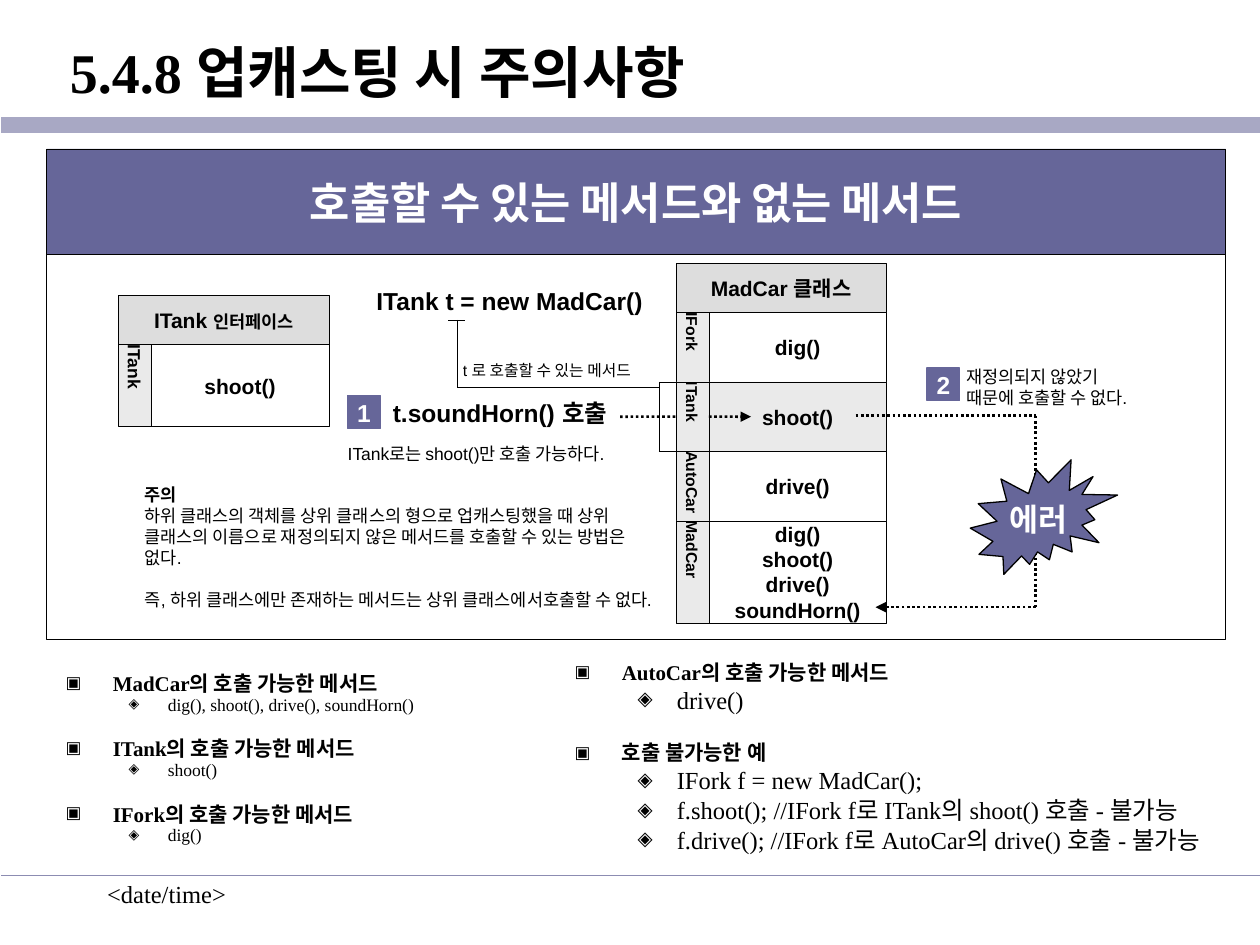
from itertools import pairwise

from lxml.etree import SubElement
from pptx import Presentation
from pptx.dml.color import RGBColor
from pptx.enum.dml import MSO_LINE
from pptx.enum.shapes import MSO_CONNECTOR, MSO_SHAPE
from pptx.enum.text import MSO_ANCHOR as Anchor, MSO_AUTO_SIZE, PP_ALIGN as Align
from pptx.oxml.ns import qn
from pptx.util import Cm, Pt

BLACK = RGBColor(0x00, 0x00, 0x00)
WHITE = RGBColor(0xFF, 0xFF, 0xFF)
PURPLE = RGBColor(0x66, 0x66, 0x99)
TITLE_RULE = RGBColor(0xA8, 0xA8, 0xC4)
FOOTER_RULE = RGBColor(0x8C, 0x8C, 0xB2)
HEADER_GRAY = RGBColor(0xDD, 0xDD, 0xDD)
LIGHT_GRAY = RGBColor(0xEA, 0xEA, 0xEA)
SERIF, SANS, KOREAN = "Times New Roman", "Arial", "Noto Sans CJK KR"


def set_font(font, size, bold=False, color=BLACK, name=SANS):
    font.size, font.bold, font.name = Pt(size), bold, name
    font.color.rgb = color


def write(shape, lines, size, bold=False, color=BLACK, name=SANS,
          align=Align.LEFT, anchor=Anchor.MIDDLE, wrap=True):
    frame = shape.text_frame
    frame.word_wrap = wrap
    frame.auto_size = MSO_AUTO_SIZE.NONE
    frame.vertical_anchor = anchor
    frame.text = "\n".join(lines)
    for paragraph in frame.paragraphs:
        paragraph.alignment = align
        set_font(paragraph.font, size, bold, color, name)
    return frame


def place(shape, left, top, width, height):
    shape.left, shape.top, shape.width, shape.height = map(Cm, (left, top, width, height))


def add_label(slide, left, top, width, height, lines, size, **style):
    box = slide.shapes.add_textbox(Cm(left), Cm(top), Cm(width), Cm(height))
    return write(box, lines, size, **style)


def add_block(slide, left, top, width, height, fill=None, line=BLACK, weight=0.25,
              kind=MSO_SHAPE.RECTANGLE):
    shape = slide.shapes.add_shape(kind, Cm(left), Cm(top), Cm(width), Cm(height))
    shape.shadow.inherit = False
    if fill is None:
        shape.fill.background()
    else:
        shape.fill.solid()
        shape.fill.fore_color.rgb = fill
    shape.line.color.rgb = line
    shape.line.width = Pt(weight)
    return shape


def add_path(slide, points, color=BLACK, weight=0.25, dotted=False, arrow=False):
    for start, end in pairwise(points):
        connector = slide.shapes.add_connector(
            MSO_CONNECTOR.STRAIGHT, *map(Cm, (*start, *end)))
        connector.line.color.rgb = color
        connector.line.width = Pt(weight)
        if dotted:
            connector.line.dash_style = MSO_LINE.ROUND_DOT
        SubElement(connector._element.spPr, qn("a:effectLst"))
    if arrow:
        SubElement(connector.line._get_or_add_ln(), qn("a:tailEnd"), type="triangle")
    return connector


def add_number(slide, left, top, number):
    square = add_block(slide, left, top, 0.66, 0.66, PURPLE, PURPLE, 0.75)
    write(square, [number], 14, bold=True, color=WHITE, align=Align.CENTER, wrap=False)


def add_class_box(slide, left, top, name, kind, kind_size, tag_size, rows):
    width, header_height, tag_width = 4.24, 0.99, 0.66
    header = add_block(slide, left, top, width, header_height, HEADER_GRAY)
    paragraph = write(header, [name + " "], 12, bold=True, align=Align.CENTER).paragraphs[0]
    run = paragraph.add_run()
    run.text = kind
    run.font.size = Pt(kind_size)
    top += header_height
    tags = {}
    for owner, methods, height, fill in rows:
        cell = add_block(slide, left + tag_width, top, width - tag_width, height, fill)
        write(cell, methods, 12, bold=True, align=Align.CENTER)
        tag = add_block(slide, left, top, tag_width, height, LIGHT_GRAY)
        frame = write(tag, [owner], tag_size, bold=True, align=Align.CENTER)
        frame.margin_left = frame.margin_right = Cm(0.13)
        frame.margin_top = frame.margin_bottom = 0
        tag._element.txBody.bodyPr.set("vert", "eaVert")
        tags[owner] = tag
        top += height
    return tags


def add_call(slide, left, top, tag):
    add_label(slide, left + 0.58, top, 6.88, 0.86, ["ITank t = new MadCar()"], 14,
              bold=True, anchor=Anchor.TOP)
    caption = add_label(slide, left + 2.23, top + 1.5, 4.95, 0.64,
                        ["t 로 호출할 수 있는 메서드"], 9, anchor=Anchor.TOP)
    caption.margin_left = Cm(0.34)
    stem, bracket = left + 2.46, left + 6.52
    add_path(slide, [(stem - 0.18, top + 0.81), (stem + 0.15, top + 0.81)])
    add_path(slide, [(stem, top + 0.81), (stem, top + 2.16), (bracket, top + 2.16)])
    add_path(slide, [(left + 6.87, top + 2.06), (bracket, top + 2.06),
                     (bracket, top + 3.46), (left + 6.87, top + 3.46)])
    add_number(slide, left + 0.25, top + 2.34, "1")
    add_label(slide, left + 0.91, top + 2.26, 4.95, 0.86, ["t.soundHorn() 호출"], 14,
              bold=True, anchor=Anchor.TOP, wrap=False)
    add_label(slide, left, top + 3.17, 5.28, 0.66, ["ITank로는 shoot()만 호출 가능하다."],
              10, wrap=False)
    middle = top + 2.76
    to_tag = add_path(slide, [(left + 5.74, middle), (left + 6.87, middle)],
                      weight=1.5, dotted=True)
    to_tag.end_connect(tag, 1)
    to_cell = add_path(slide, [(left + 7.53, middle), (left + 8.38, middle)],
                       weight=1.5, dotted=True, arrow=True)
    to_cell.begin_connect(tag, 3)


def add_error(slide, left, top):
    corner = left + 3.63
    add_path(slide, [(left, top + 1.24), (corner, top + 1.24), (corner, top + 5.1),
                     (left + 0.4, top + 5.1)], weight=1.5, dotted=True, arrow=True)
    add_number(slide, left + 1.44, top + 0.28, "2")
    add_label(slide, left + 1.98, top, 4.34, 1.32,
              ["재정의되지 않았기", "때문에 호출할 수 없다."], 10, wrap=False)
    seal = add_block(slide, left + 2.31, top + 2.13, 2.97, 2.31, PURPLE, weight=0.75,
                     kind=MSO_SHAPE.EXPLOSION2)
    write(seal, ["에러"], 18, bold=True, color=WHITE, name=KOREAN, align=Align.CENTER,
          wrap=False)


def add_caution(slide, left, top):
    heading, _, conclusion = add_label(slide, left, top, 10.62, 2.49, [
        "주의",
        "하위 클래스의 객체를 상위 클래스의 형으로 업캐스팅했을 때 상위 클래스의 이름으로 "
        "재정의되지 않은 메서드를 호출할 수 있는 방법은 없다.",
        "즉, 하위 클래스에만 존재하는 메서드는 상위 클래스에서호출할 수 없다.",
    ], 10).paragraphs
    heading.font.bold = True
    conclusion.space_before = Pt(11.7)


def add_diagram(slide, left, top, width, height):
    banner_height = 2.13
    add_block(slide, left, top, width, height)
    banner = add_block(slide, left, top, width, banner_height, PURPLE)
    write(banner, ["호출할 수 있는 메서드와 없는 메서드"], 25, bold=True, color=WHITE,
          align=Align.CENTER)
    add_class_box(slide, left + 1.45, top + 2.96, "ITank", "인터페이스", 10, 10,
                  [("ITank", ["shoot()"], 1.65, WHITE)])
    tags = add_class_box(slide, left + 12.69, top + 2.31, "MadCar", "클래스", 12, 9, [
        ("IFork", ["dig()"], 1.4, WHITE),
        ("ITank", ["shoot()"], 1.4, LIGHT_GRAY),
        ("AutoCar", ["drive()"], 1.4, WHITE),
        ("MadCar", ["dig()", "shoot()", "drive()", "soundHorn()"], 2.06, WHITE),
    ])
    add_call(slide, left + 5.82, top + 2.64, tags["ITank"])
    add_error(slide, left + 16.31, top + 4.14)
    add_caution(slide, left + 1.73, top + 6.78)


def fill_list(placeholder, box, sections, item_size, spacing, section_gap):
    place(placeholder, *box)
    entries = [(text, level) for heading, items in sections
               for text, level in [(heading, 0), *((item, 1) for item in items)]]
    frame = write(placeholder, [text for text, _ in entries], 12, name=SERIF,
                  anchor=Anchor.TOP)
    for index, (paragraph, (_, level)) in enumerate(zip(frame.paragraphs, entries)):
        properties = paragraph._p.get_or_add_pPr()
        for old in list(properties):
            properties.remove(old)
        margin, hanging, mark = [(0.95, 0.95, "▣"), (2.06, 0.79, "◈")][level]
        properties.set("marL", str(Cm(margin)))
        properties.set("indent", str(-Cm(hanging)))
        color = SubElement(properties, qn("a:buClr"))
        SubElement(color, qn("a:srgbClr"), val=str(BLACK))
        SubElement(properties, qn("a:buSzPct"), val="80000")
        SubElement(properties, qn("a:buChar"), char=mark)
        paragraph.level = level
        paragraph.line_spacing = spacing
        gap = item_size / 4 if level else section_gap
        paragraph.space_before = Pt(gap if index else 0)
        set_font(paragraph.font, item_size if level else 12, not level, name=SERIF)


def add_title(slide, left, top, width, height):
    place(slide.shapes.title, left, top, width, height)
    frame = write(slide.shapes.title, ["5.4.8 업캐스팅 시 주의사항"], 32, bold=True, name=SERIF)
    frame.margin_left = Cm(1.38)
    add_path(slide, [(left, 2.52), (left + width, 2.52)], TITLE_RULE, 9.25)


def add_footer(slide, left, top, width):
    add_path(slide, [(left, top), (left + width, top)], FOOTER_RULE, 1)
    add_label(slide, left + 1.88, top - 0.05, 5.28, 1.27, ["<date/time>"], 14, name=SERIF,
              anchor=Anchor.TOP)


def main():
    presentation = Presentation()
    presentation.slide_width, presentation.slide_height = Cm(25.4), Cm(19.05)
    slide = presentation.slides.add_slide(presentation.slide_layouts[3])
    add_title(slide, 0.03, 0.28, 25.37, 2.29)
    add_diagram(slide, 0.94, 3, 23.77, 9.88)
    fill_list(slide.placeholders[1], (1.07, 13.53, 10.13, 3.99), [
        ("MadCar의 호출 가능한 메서드", ["dig(), shoot(), drive(), soundHorn()"]),
        ("ITank의 호출 가능한 메서드", ["shoot()"]),
        ("IFork의 호출 가능한 메서드", ["dig()"]),
    ], 10, 0.7, 16.3)
    fill_list(slide.placeholders[2], (11.33, 13.26, 14.07, 4.24), [
        ("AutoCar의 호출 가능한 메서드", ["drive()"]),
        ("호출 불가능한 예", [
            "IFork f = new MadCar();",
            "f.shoot(); //IFork f로 ITank의 shoot() 호출 - 불가능",
            "f.drive(); //IFork f로 AutoCar의 drive() 호출 - 불가능",
        ]),
    ], 14, 0.8, 17.7)
    add_footer(slide, 0.03, 17.65, 25.37)
    presentation.save("out.pptx")


if __name__ == "__main__":
    main()
